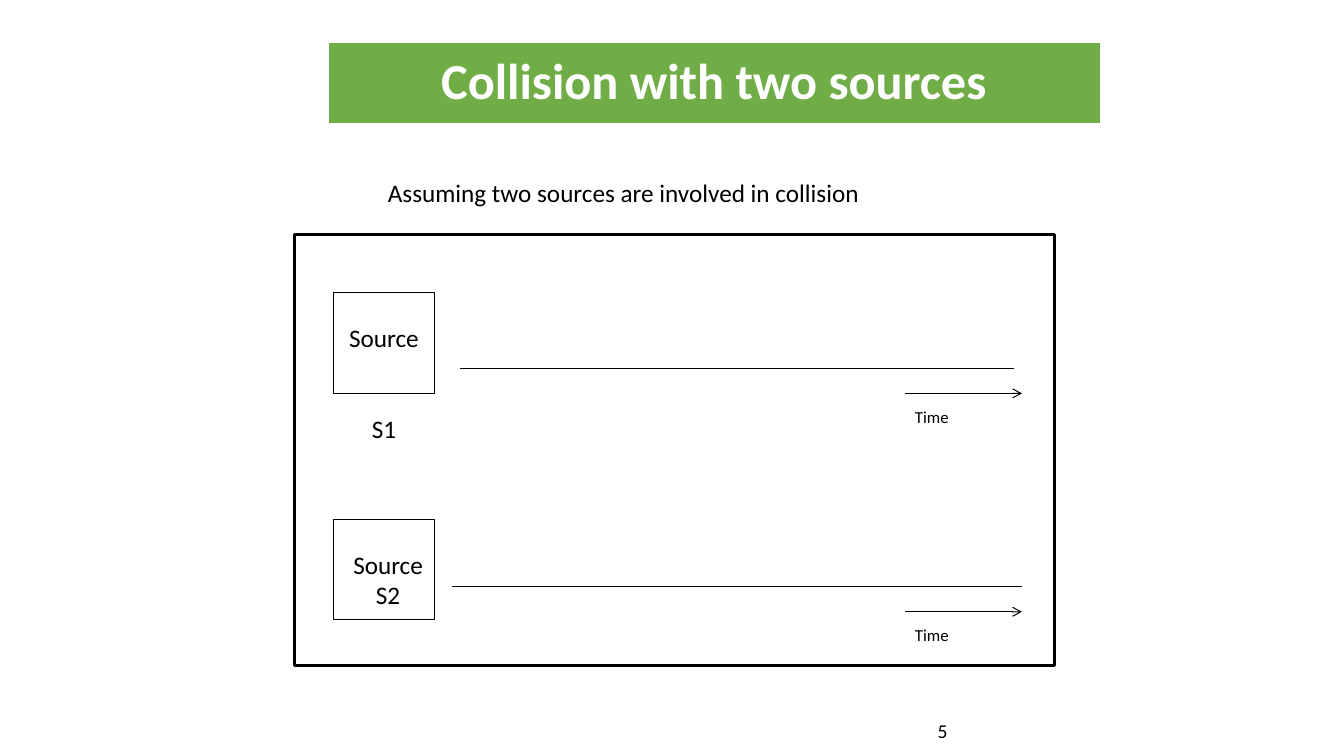
from pptx import Presentation
from pptx.dml.color import RGBColor
from pptx.enum import shapes, text
from pptx.oxml import ns, xmlchemy
from pptx.util import Pt

FONT = "Calibri"
COLORS = {"ink": "000000", "paper": "FFFFFF", "green": "70AD47"}
LEFT = text.PP_ALIGN.LEFT
MID = text.PP_ALIGN.CENTER
RIGHT = text.PP_ALIGN.RIGHT


def color(name):
    return RGBColor.from_string(COLORS[name])


def add_run(para, words, size, ink="ink", bold=False):
    run = para.add_run()
    run.text = words
    font = run.font
    font.name, font.size, font.bold = FONT, Pt(size), bold
    font.color.rgb = color(ink)


def set_line(line, name, width):
    line.color.rgb = color(name)
    line.width = Pt(width)


def add_title(slide, words, box):
    title = slide.shapes.title
    title.left, title.top, title.width, title.height = map(Pt, box)
    title.fill.solid()
    title.fill.fore_color.rgb = color("green")
    set_line(title.line, "paper", 1.5)
    frame = title.text_frame
    frame.auto_size = text.MSO_AUTO_SIZE.NONE
    frame.vertical_anchor = text.MSO_ANCHOR.MIDDLE
    para = frame.paragraphs[0]
    para.alignment, para.line_spacing = MID, 0.9
    add_run(para, words, 36, "paper", True)


def add_label(slide, lines, box, size=18, align=LEFT, gap=0):
    frame = slide.shapes.add_textbox(*map(Pt, box)).text_frame
    frame.word_wrap = True
    for i, words in enumerate(lines):
        para = frame.add_paragraph() if i else frame.paragraphs[0]
        para.alignment = align
        if i:
            para.space_before = Pt(gap)
        add_run(para, words, size)


def add_box(slide, box, width, fill=None):
    shape = slide.shapes.add_shape(shapes.MSO_SHAPE.RECTANGLE, *map(Pt, box))
    shape.shadow.inherit = False
    if fill:
        shape.fill.solid()
        shape.fill.fore_color.rgb = color(fill)
    else:
        shape.fill.background()
    set_line(shape.line, "ink", width)


def add_rule(slide, start, end, y, arrow=False):
    rule = slide.shapes.add_connector(
        shapes.MSO_CONNECTOR.STRAIGHT, Pt(start), Pt(y), Pt(end), Pt(y))
    set_line(rule.line, "ink", 0.75)
    props = rule._element.spPr
    if arrow:
        tail = xmlchemy.OxmlElement("a:tailEnd")
        tail.set("type", "arrow")
        props.find(ns.qn("a:ln")).append(tail)
    props.append(xmlchemy.OxmlElement("a:effectLst"))


def add_source(slide, top, lines, width, start, end, axis):
    # Source square with its name
    add_box(slide, (238.3, top, 72, 72), 0.75, "paper")
    add_label(slide, lines, (238.3, top + 18, width, 51), align=MID, gap=43.5)
    # Channel line and time arrow
    add_rule(slide, start, end, axis)
    add_rule(slide, 646.5, 730, axis + 18, True)
    add_label(slide, ["Time"], (646.5, axis + 24, 72, 21.6), 12)


def main():
    deck = Presentation()
    deck.slide_width, deck.slide_height = Pt(960), Pt(540)
    slide = deck.slides.add_slide(deck.slide_layouts[5])

    # Heading
    add_title(slide, "Collision with two sources", (234, 30.2, 552.2, 58.3))
    add_label(slide, ["Assuming two sources are involved in collision"],
              (270, 123.1, 396, 29))

    # Diagram
    add_box(slide, (210.2, 167.8, 542.9, 307.4), 2)
    add_source(slide, 208.8, ["Source", "S1"], 72, 328.3, 724.3, 263)
    add_source(slide, 370.8, ["Source S2"], 77.8, 322.6, 730, 419)

    # Page number
    add_label(slide, ["5"], (516.2, 509.8, 167.8, 19.4), 14, RIGHT)

    deck.save("out.pptx")


if __name__ == "__main__":
    main()
